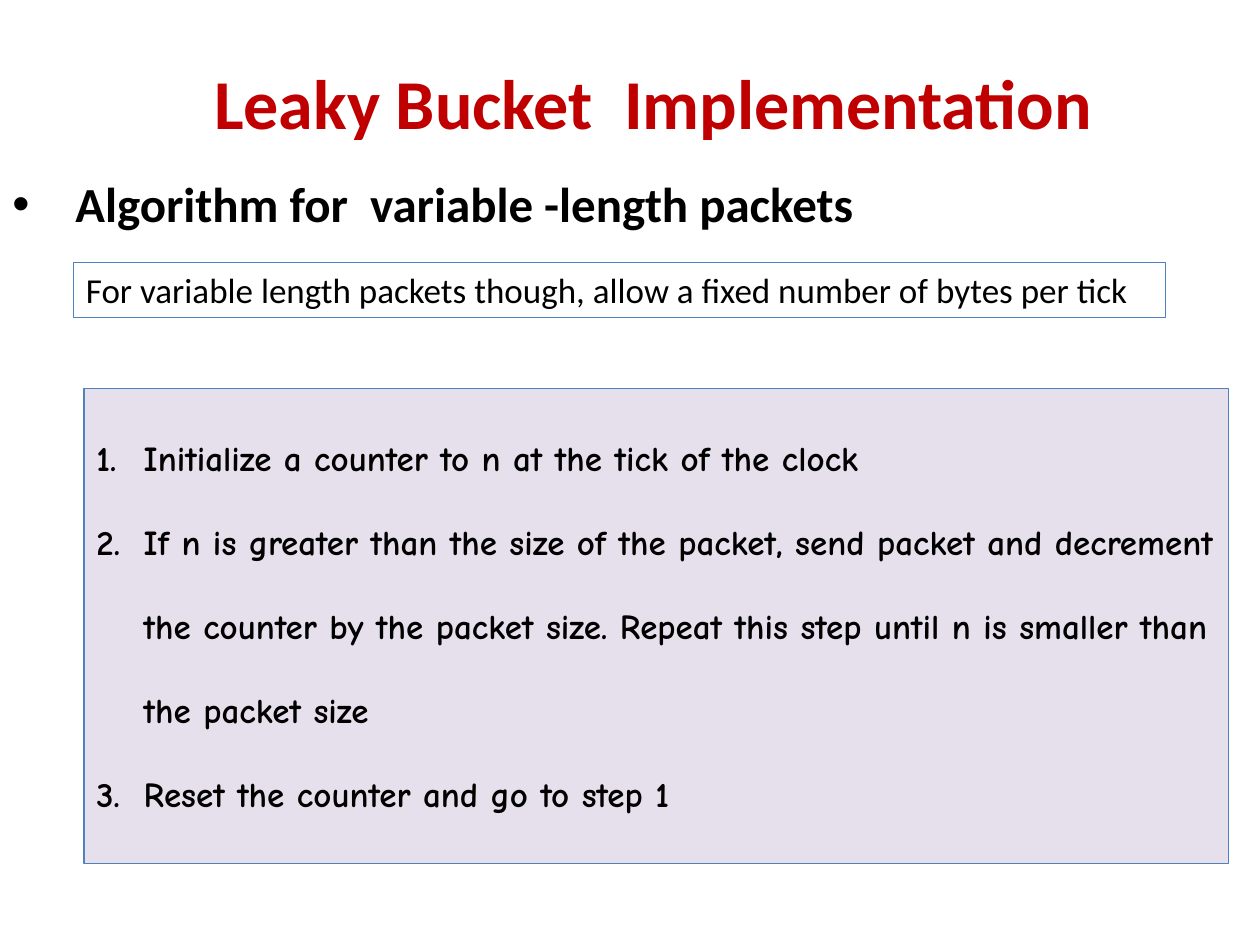
from lxml.etree import SubElement
from pptx import Presentation
from pptx.dml.color import RGBColor as Rgb
from pptx.enum.shapes import MSO_SHAPE as Shape
from pptx.enum.text import MSO_ANCHOR as Anchor, PP_ALIGN as Align
from pptx.oxml.ns import qn
from pptx.util import Pt

THEME = {
    "sans": "Calibri", "hand": "Comic Neue",
    "red": "C00000", "ink": "000000", "edge": "4F81BD", "lilac": "E6E0EC",
    "title": 40, "head": 28, "body": 20, "rule": 0.75,
}
DOT = ("a:buChar", {"char": "•"})
NUM = ("a:buAutoNum", {"type": "arabicPeriod"})

BOXES = [
    {"at": (26.64, 13.68, 693.36, 64.8), "text": ["Leaky Bucket  Implementation"],
     "font": ("sans", "title", "red", True), "anchor": Anchor.MIDDLE,
     "para": {"alignment": Align.CENTER, "line_spacing": 1.5}},
    {"at": (0, 95.76, 642.24, 41.04), "text": ["Algorithm for  variable -length packets"],
     "font": ("sans", "head", "ink", True), "para": {"alignment": Align.JUSTIFY},
     "mark": DOT, "indent": 36},
    {"at": (48, 222, 654, 271.44), "fill": "lilac", "edge": "edge",
     "text": [
         "Initialize a counter to n at the tick of the clock",
         "If n is greater than the size of the packet, send packet and decrement "
         "the counter by the packet size. Repeat this step until n is smaller than "
         "the packet size",
         "Reset the counter and go to step 1"],
     "font": ("hand", "body", "ink", True),
     "para": {"alignment": Align.LEFT, "line_spacing": 2.0}, "mark": NUM, "indent": 27},
    {"at": (42, 150, 624, 31.5), "edge": "edge",
     "text": ["For variable length packets though, allow a fixed number of bytes per tick"],
     "font": ("sans", "body", "ink", False), "para": {"alignment": Align.JUSTIFY}},
]


def put(item, vals):
    """Set each named format value on an item."""
    for key, val in vals.items():
        setattr(item, key, val)


def tint(name):
    """Return a theme colour."""
    return Rgb.from_string(THEME[name])


def mark(para, kind, indent):
    """Give a paragraph a hanging bullet or number."""
    props = para._p.get_or_add_pPr()
    props.set("marL", str(Pt(indent)))
    props.set("indent", str(-Pt(indent)))
    tag, attrs = kind
    if kind is DOT:
        SubElement(props, qn("a:buFont"), typeface="Arial")
    SubElement(props, qn(tag), attrs)


def write(frame, box):
    """Fill a text frame with the paragraphs of a box."""
    put(frame, {"word_wrap": True, "vertical_anchor": box.get("anchor", Anchor.TOP)})
    face, size, ink, bold = box["font"]
    for pos, text in enumerate(box["text"]):
        para = frame.add_paragraph() if pos else frame.paragraphs[0]
        put(para, box["para"])
        if "mark" in box:
            mark(para, box["mark"], box["indent"])
        run = para.add_run()
        run.text = text
        put(run.font, {"name": THEME[face], "size": Pt(THEME[size]), "bold": bold})
        run.font.color.rgb = tint(ink)


def draw(slide, box):
    """Add one box, framed or plain, with its text."""
    place = [Pt(n) for n in box["at"]]
    if "edge" in box:
        item = slide.shapes.add_shape(Shape.RECTANGLE, *place)
        item.shadow.inherit = False
        item.line.color.rgb = tint(box["edge"])
        item.line.width = Pt(THEME["rule"])
        if "fill" in box:
            item.fill.solid()
            item.fill.fore_color.rgb = tint(box["fill"])
        else:
            item.fill.background()
    else:
        item = slide.shapes.add_textbox(*place)
    write(item.text_frame, box)


def main():
    """Build the slide and save it."""
    deck = Presentation()
    put(deck, {"slide_width": Pt(720), "slide_height": Pt(540)})
    slide = deck.slides.add_slide(deck.slide_layouts[6])
    for box in BOXES:
        draw(slide, box)
    deck.save("out.pptx")


if __name__ == "__main__":
    main()
